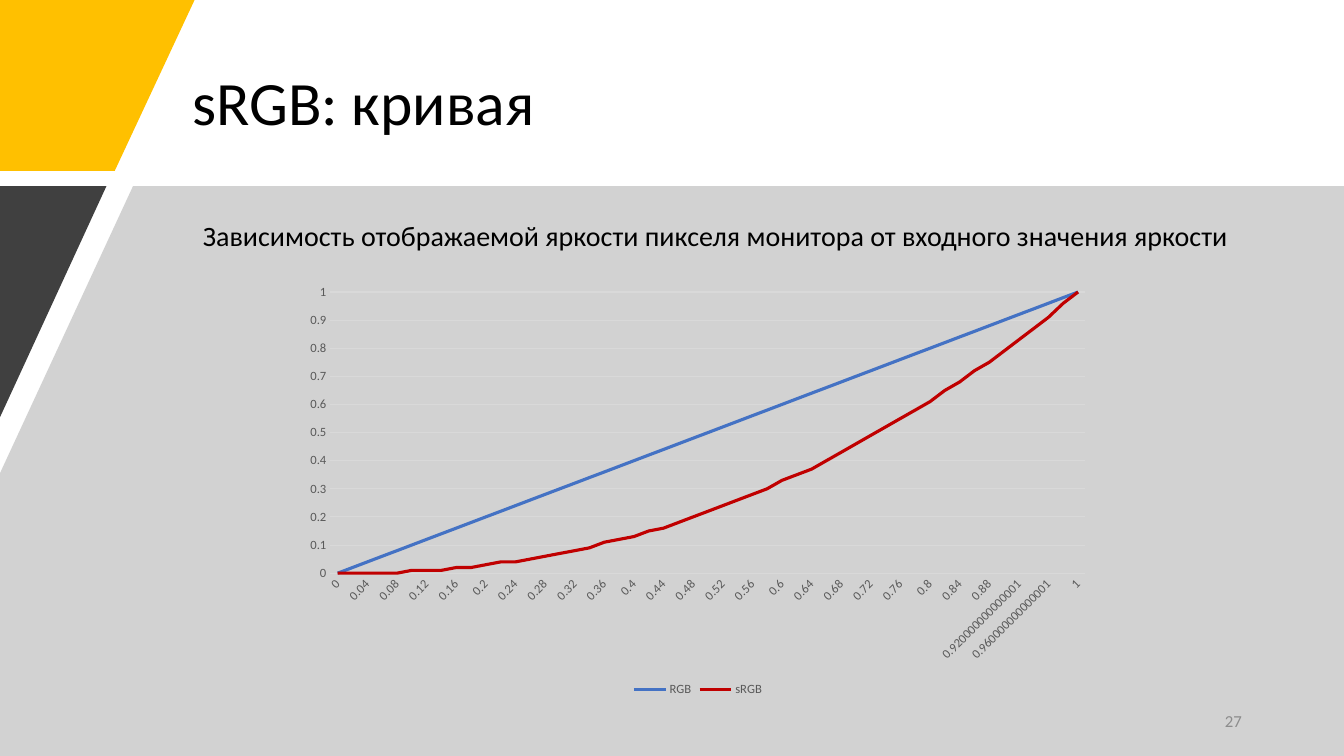
from lxml import etree
from pptx import Presentation
from pptx.chart.data import CategoryChartData
from pptx.dml.color import RGBColor
from pptx.enum import chart as ch, text
from pptx.oxml.ns import qn
from pptx.util import Pt


def color(hex_value):
    return RGBColor.from_string(hex_value)


def add_text(box, words, size, hex_value, align, anchor):
    left, top, width, height = map(Pt, box)
    frame = slide.shapes.add_textbox(left, top, width, height).text_frame
    frame.word_wrap = True
    frame.vertical_anchor = anchor
    paragraph = frame.paragraphs[0]
    paragraph.alignment = align
    run = paragraph.add_run()
    run.text = words
    run.font.name = "Calibri"
    run.font.size = Pt(size)
    run.font.color.rgb = color(hex_value)
    return frame


prs = Presentation()
prs.slide_width, prs.slide_height = Pt(960), Pt(540)
slide = prs.slides.add_slide(prs.slide_layouts[6])

# Background panels: points, fill, opacity in percent
panels = [
    ([(0, 0), (139, 0), (82, 122.4), (0, 122.4)], "FFC000", 100),
    ([(95, 133.2), (960, 133.2), (960, 540), (0, 540), (0, 338.4)], "A6A6A6", 50),
    ([(0, 133.2), (76.5, 133.2), (0, 298.4)], "404040", 100),
]
for points, fill, opacity in panels:
    builder = slide.shapes.build_freeform(*points[0], scale=Pt(1))
    builder.add_line_segments(points[1:], close=True)
    panel = builder.convert_to_shape()
    panel.shadow.inherit = False
    panel.fill.solid()
    panel.fill.fore_color.rgb = color(fill)
    panel.line.fill.background()
    if opacity < 100:
        fill_color = panel.fill._xPr.find(qn("a:solidFill"))[0]
        etree.SubElement(fill_color, qn("a:alpha")).set("val", str(opacity * 1000))

# Title, subtitle and page number
align, anchor = text.PP_ALIGN, text.MSO_ANCHOR
title = add_text((130.3, 28.8, 737.3, 93.6), "sRGB: кривая", 44, "000000",
                 align.LEFT, anchor.MIDDLE)
title.paragraphs[0].line_spacing = 0.9
subtitle = add_text(
    (116.6, 152.6, 789.1, 31.7),
    "Зависимость отображаемой яркости пикселя монитора от входного значения яркости",
    20, "000000", align.CENTER, anchor.TOP)
subtitle.auto_size = text.MSO_AUTO_SIZE.SHAPE_TO_FIT_TEXT
add_text((678.2, 500.4, 216, 28.8), "27", 12, "8C8C8C", align.RIGHT, anchor.MIDDLE)

# Brightness curves: linear input and gamma 2.2
inputs = [step / 50 for step in range(51)]
long_labels = {0.92: "0.920000000000001", 0.96: "0.960000000000001"}
curves = CategoryChartData()
curves.categories = [long_labels.get(x, f"{x:g}") for x in inputs]
curves.add_series("RGB", inputs)
curves.add_series("sRGB", [round(x ** 2.2, 2) for x in inputs])
chart = slide.shapes.add_chart(ch.XL_CHART_TYPE.LINE, Pt(210.2), Pt(197.3),
                               Pt(576.7), Pt(303.1), curves).chart
chart.has_title = False
chart.font.name = "Calibri"
chart.font.size = Pt(10)
chart.font.color.rgb = color("000000")
chart.plots[0].vary_by_categories = False
for series, line_color in zip(chart.plots[0].series, ("4472C4", "C00000")):
    series.smooth = False
    series.marker.style = ch.XL_MARKER_STYLE.NONE
    series.format.line.width = Pt(2.25)
    series.format.line.color.rgb = color(line_color)

# Axes and legend
input_axis, output_axis = chart.category_axis, chart.value_axis
chart.has_legend = True
chart.legend.position = ch.XL_LEGEND_POSITION.BOTTOM
chart.legend.include_in_layout = False
for font in (input_axis.tick_labels.font, output_axis.tick_labels.font, chart.legend.font):
    font.name = "Calibri"
    font.size = Pt(9)
    font.color.rgb = color("595959")
for axis in (input_axis, output_axis):
    axis.major_tick_mark = axis.minor_tick_mark = ch.XL_TICK_MARK.NONE
output_axis.minimum_scale, output_axis.maximum_scale = 0, 1
output_axis.major_unit = 0.1
output_axis.has_major_gridlines = True
output_axis.format.line.fill.background()
for line in (input_axis.format.line, output_axis.major_gridlines.format.line):
    line.width = Pt(0.75)
    line.color.rgb = color("D9D9D9")

# Every second input label, slanted
axis_xml = input_axis._element
axis_xml.find(qn("c:txPr")).find(qn("a:bodyPr")).set("rot", "-2700000")
label_skip = etree.Element(qn("c:tickLblSkip"))
label_skip.set("val", "2")
axis_xml.find(qn("c:noMultiLvlLbl")).addprevious(label_skip)

prs.save("out.pptx")
